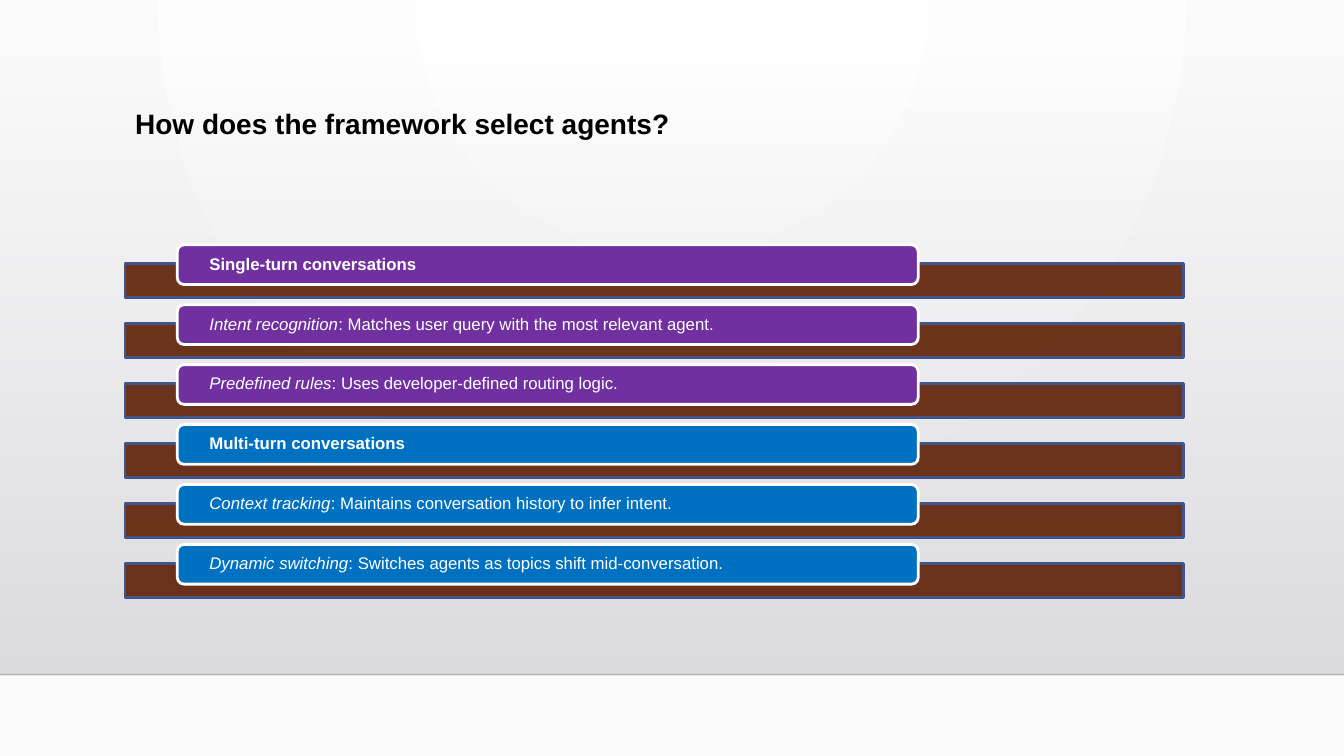
"""Build the slide on how the framework selects agents."""
from pptx import Presentation
from pptx import util as u
from pptx.dml.color import RGBColor
from pptx.enum import shapes, text
from pptx.oxml import parse_xml
from pptx.oxml.ns import nsdecls, qn

COLORS = {
    "title": "000000", "text": "FFFFFF", "edge": "FFFFFF",
    "bar": "5E2005", "bar_edge": "415588", "rule": "000001",
    "single": "7030A0", "multi": "0070C0",
    "glow": "FFFFFF", "base": "FAFAFA", "haze": "DCDCE0", "floor": "DEDEE2",
}
ROWS = [
    ("single", "Single-turn conversations", ""),
    ("single", "Intent recognition", ": Matches user query with the most relevant agent."),
    ("single", "Predefined rules", ": Uses developer-defined routing logic."),
    ("multi", "Multi-turn conversations", ""),
    ("multi", "Context tracking", ": Maintains conversation history to infer intent."),
    ("multi", "Dynamic switching", ": Switches agents as topics shift mid-conversation."),
]
FONT = "Arial"
ROW_STEP = 1.51


def rgb(name):
    return RGBColor.from_string(COLORS[name])


def set_alpha(owner, percent):
    color = next(owner.iter(qn("a:srgbClr")))
    color.append(parse_xml(f'<a:alpha {nsdecls("a")} val="{percent * 1000}"/>'))


def set_gradient(owner, start, end, direction, start_alpha=100):
    old = next(owner.iter(qn("a:gradFill")))
    new = parse_xml(
        f'<a:gradFill {nsdecls("a")} rotWithShape="1"><a:gsLst>'
        f'<a:gs pos="0"><a:srgbClr val="{COLORS[start]}"/></a:gs>'
        f'<a:gs pos="100000"><a:srgbClr val="{COLORS[end]}"/></a:gs>'
        f'</a:gsLst>{direction}</a:gradFill>')
    if start_alpha < 100:
        set_alpha(new, start_alpha)
    old.getparent().replace(old, new)


def add_box(s, kind, left, top, width, height):
    sp = s.shapes.add_shape(kind, u.Cm(left), u.Cm(top), u.Cm(width), u.Cm(height))
    sp.shadow.inherit = False
    return sp


def paint(sp, fill, edge):
    sp.fill.solid()
    sp.fill.fore_color.rgb = rgb(fill)
    sp.line.color.rgb = rgb(edge)
    sp.line.width = u.Pt(2)


def style(p, size, color):
    p.alignment = text.PP_ALIGN.LEFT
    p.line_spacing = 0.9
    p.font.name = FONT
    p.font.size = u.Pt(size)
    p.font.color.rgb = rgb(color)


def add_backdrop(s):
    s.background.fill.gradient()
    set_gradient(s.element, "glow", "base",
                 '<a:path path="circle">'
                 '<a:fillToRect l="43000" r="43000" b="100000"/></a:path>')
    haze = add_box(s, shapes.MSO_SHAPE.RECTANGLE, 0, 1.3, 33.87, 15.7)
    haze.fill.gradient()
    set_gradient(haze.element.spPr, "haze", "floor",
                 '<a:lin ang="5400000" scaled="0"/>', start_alpha=0)
    haze.line.fill.background()
    rule = s.shapes.add_connector(shapes.MSO_CONNECTOR.STRAIGHT,
                                  0, u.Cm(17), u.Cm(33.87), u.Cm(17))
    rule.line.color.rgb = rgb("rule")
    rule.line.width = u.Pt(1)
    set_alpha(rule.line._get_or_add_ln(), 20)
    rule._element.spPr.append(parse_xml(f'<a:effectLst {nsdecls("a")}/>'))


def add_title(s, words):
    title = s.shapes.title
    title.element.getparent().append(title.element)
    title.left, title.top = u.Cm(3.15), u.Cm(2.64)
    title.width, title.height = u.Cm(26.67), u.Cm(2.92)
    tf = title.text_frame
    tf.text = words
    tf.vertical_anchor = text.MSO_ANCHOR.TOP
    style(tf.paragraphs[0], 20, "title")
    tf.paragraphs[0].font.bold = True


def add_row(s, top, fill, lead, detail):
    bar = add_box(s, shapes.MSO_SHAPE.RECTANGLE, 3.15, top + 0.48, 26.67, 0.85)
    paint(bar, "bar", "bar_edge")
    set_alpha(bar.element.spPr, 90)
    label = add_box(s, shapes.MSO_SHAPE.ROUNDED_RECTANGLE, 4.47, top, 18.67, 1)
    paint(label, fill, "edge")
    tf = label.text_frame
    tf.margin_left = tf.margin_right = u.Cm(0.76)
    tf.margin_top = tf.margin_bottom = 0
    tf.vertical_anchor = text.MSO_ANCHOR.MIDDLE
    p = tf.paragraphs[0]
    style(p, 12, "text")
    r = p.add_run()
    r.text = lead
    if detail:
        r.font.italic = True
        p.add_run().text = detail
    else:
        r.font.bold = True


def main():
    prs = Presentation()
    prs.slide_width, prs.slide_height = u.Cm(33.87), u.Cm(19.05)
    s = prs.slides.add_slide(prs.slide_layouts[5])
    add_backdrop(s)
    add_title(s, "How does the framework select agents?")
    for i, row in enumerate(ROWS):
        add_row(s, 6.17 + i * ROW_STEP, *row)
    prs.save("out.pptx")


if __name__ == "__main__":
    main()
